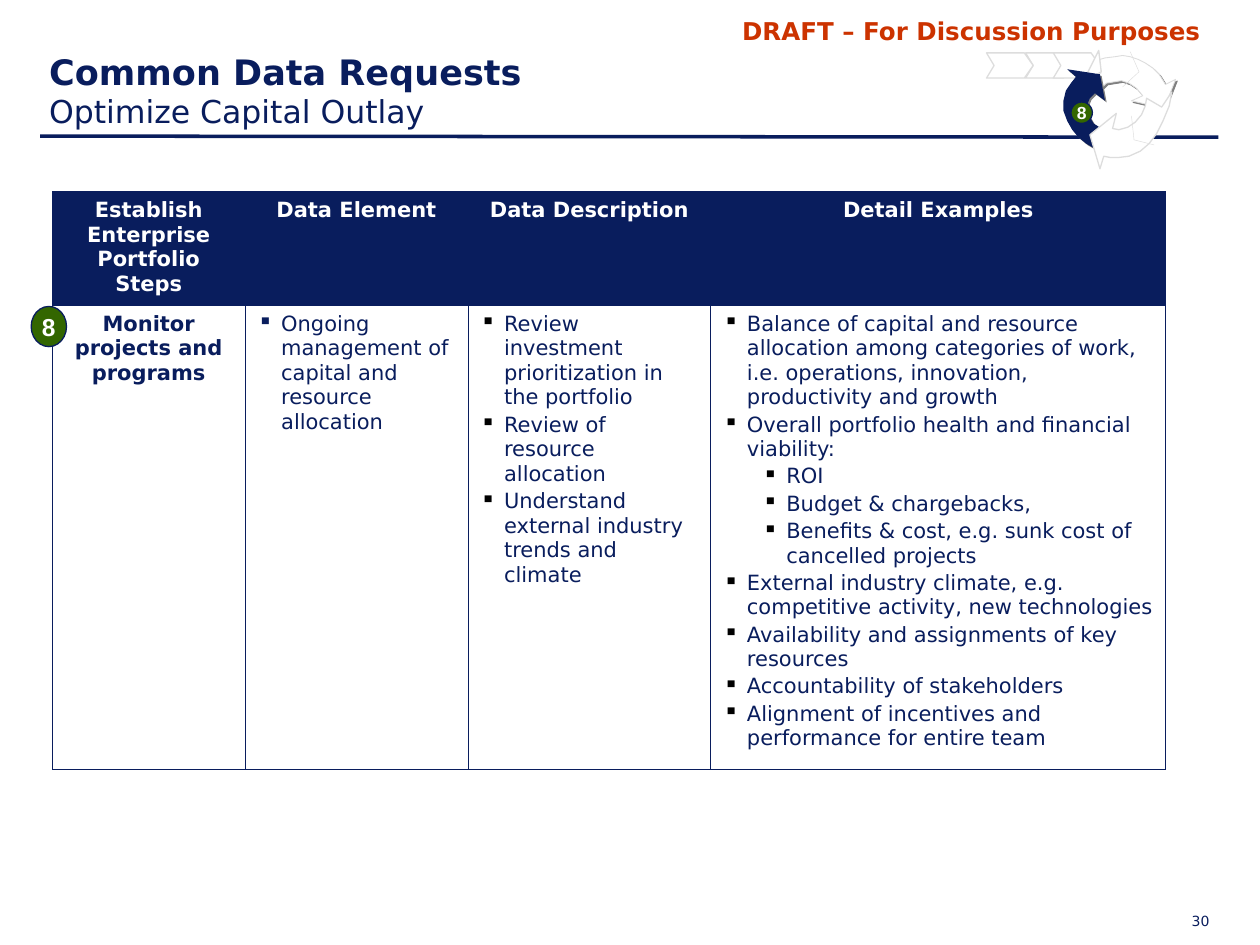
from dataclasses import dataclass

from lxml import etree
from pptx import Presentation
from pptx import util as u
from pptx.dml.color import RGBColor
from pptx.enum import shapes, text
from pptx.oxml import ns


@dataclass(frozen=True)
class Theme:
    navy: str = "091D5D"
    white: str = "FFFFFF"
    black: str = "000000"
    red: str = "CC3300"
    green: str = "336600"
    pale: str = "DDDDDD"
    shade: str = "808080"
    face: str = "DejaVu Sans"
    badge_face: str = "Arial"
    title: int = 20
    subtitle: int = 18
    label: int = 14
    body: int = 12
    small: int = 10
    page: int = 8


THEME = Theme()
CENTER = text.PP_ALIGN.CENTER
ICON_UNIT = 0.72

HEADERS = ["Establish Enterprise Portfolio Steps", "Data Element",
           "Data Description", "Detail Examples"]
ELEMENTS = [(0, "Ongoing management of capital and resource allocation")]
DESCRIPTIONS = [
    (0, "Review investment prioritization in the portfolio"),
    (0, "Review of resource allocation"),
    (0, "Understand external industry trends and climate"),
]
EXAMPLES = [
    (0, "Balance of capital and resource allocation among categories of work, "
        "i.e. operations, innovation, productivity and growth"),
    (0, "Overall portfolio health and financial viability:"),
    (1, "ROI"),
    (1, "Budget & chargebacks,"),
    (1, "Benefits & cost, e.g. sunk cost of cancelled projects"),
    (0, "External industry climate, e.g. competitive activity, new technologies"),
    (0, "Availability and assignments of key resources"),
    (0, "Accountability of stakeholders"),
    (0, "Alignment of incentives and performance for entire team"),
]

TOP_ARROW = [
    (117, 5), (123, 7), (129, 10), (135, 14), (140, 19), (145, 27), (153, 23),
    (144, 46), (118, 40), (127, 36), (122, 30), (116, 26), (110, 24), (104, 25),
    (98, 26), (95, 29), (78, 17), (84, 12), (90, 8), (97, 6), (105, 5), (111, 4)]
LEFT_ARROW = [
    (89, 78), (82, 74), (76, 69), (71, 63), (67, 56), (64, 48), (64, 40),
    (66, 32), (70, 26), (74, 21), (67, 15), (93, 19), (97, 40), (89, 34),
    (85, 38), (83, 43), (83, 49), (85, 53), (88, 58), (94, 62)]
RIGHT_ARROW = [
    (101, 85), (108, 85), (116, 84), (125, 80), (132, 74), (138, 66), (143, 56),
    (148, 44), (150, 33), (142, 45), (130, 38), (129, 44), (126, 51), (121, 57),
    (115, 61), (108, 63), (103, 62), (106, 50), (85, 67), (93, 94), (96, 84)]
CHEVRON = [(30, 0), (0, 0), (6, 10), (0, 20), (30, 20), (37, 10)]
TRIANGLE = [(94, 17), (79, 26), (92, 0)]
TOP_EDGES = [((117, 1), (124, 17)), ((111, 29), (124, 17))]
TRIANGLE_EDGES = [((92, 1), (94, 18)), ((79, 25), (94, 18))]
RIGHT_EDGES = [((136, 75), (120, 71)), ((118, 52), (120, 71))]


def points(*values):
    return [u.Pt(value) for value in values]


def color(value):
    return RGBColor.from_string(value)


def add_xml(parent, tag, **attributes):
    return etree.SubElement(parent, ns.qn(tag), attributes)


def write(paragraph, words, size, tint=THEME.navy, bold=False, face=THEME.face):
    run = paragraph.add_run()
    run.text = words
    for name, value in {"size": u.Pt(size), "bold": bold, "name": face}.items():
        setattr(run.font, name, value)
    run.font.color.rgb = color(tint)


def add_text(slide, box, **frame_format):
    frame = slide.shapes.add_textbox(*points(*box)).text_frame
    for name, value in {"word_wrap": True, **frame_format}.items():
        setattr(frame, name, value)
    return frame.paragraphs[0]


def add_line(slide, start, end, tint, width):
    line = slide.shapes.add_connector(
        shapes.MSO_CONNECTOR.STRAIGHT, *points(*start, *end))
    line.line.color.rgb = color(tint)
    line.line.width = u.Pt(width)
    add_xml(line.element.spPr, "a:effectLst")


def add_badge(slide, box, size):
    badge = slide.shapes.add_shape(shapes.MSO_SHAPE.OVAL, *points(*box))
    badge.shadow.inherit = False
    badge.fill.solid()
    badge.fill.fore_color.rgb = color(THEME.green)
    badge.line.color.rgb = color(THEME.navy)
    badge.line.width = u.Pt(0.75)
    frame = badge.text_frame
    frame.word_wrap = False
    frame.vertical_anchor = text.MSO_ANCHOR.MIDDLE
    frame.paragraphs[0].alignment = CENTER
    write(frame.paragraphs[0], "8", size, THEME.white, True, THEME.badge_face)


def add_outline(slide, box, corners, fill=THEME.white, width=0.75, shadow=False):
    builder = slide.shapes.build_freeform(*corners[0], scale=u.Pt(ICON_UNIT))
    builder.add_line_segments(corners[1:], close=True)
    outline = builder.convert_to_shape(*points(*box[:2]))
    outline.shadow.inherit = False
    outline.fill.solid()
    outline.fill.fore_color.rgb = color(fill)
    if width:
        outline.line.color.rgb = color(THEME.pale)
        outline.line.width = u.Pt(width)
    else:
        outline.line.fill.background()
    if shadow:
        effects = outline.element.spPr.find(ns.qn("a:effectLst"))
        cast = add_xml(effects, "a:outerShdw", blurRad="0", dist=str(u.Pt(1.4)),
                       dir="2700000", algn="ctr", rotWithShape="0")
        add_xml(cast, "a:srgbClr", val=THEME.shade)


def draw_cycle_icon(slide, box):
    left, top = box[:2]

    def add_edges(edges):
        for edge in edges:
            ends = [(left + x * ICON_UNIT, top + y * ICON_UNIT) for x, y in edge]
            add_line(slide, *ends, THEME.pale, 0.25)

    add_outline(slide, box, TOP_ARROW, width=0.5, shadow=True)
    for offset in (34, 3, 56):
        add_outline(slide, box, [(x + offset, y + 2) for x, y in CHEVRON])
    add_edges(TOP_EDGES)
    add_outline(slide, box, TRIANGLE)
    add_edges(TRIANGLE_EDGES)
    add_outline(slide, box, LEFT_ARROW, THEME.navy, width=0, shadow=True)
    add_outline(slide, box, RIGHT_ARROW)
    add_edges(RIGHT_EDGES)
    add_badge(slide, (left + 50.4, top + 29.5, 12.24, 12.24), THEME.small)


def draw_header(slide, box):
    left, top, width, height = box
    add_line(slide, (left + 2, top + 59.8), (left + 675.2, top + 60.4), THEME.navy, 2)
    draft = add_text(slide, (left + 387.2, top - 12.2, 293.8, 24.5))
    draft.alignment = CENTER
    write(draft, "DRAFT – For Discussion Purposes", THEME.label, THEME.red, True)
    title = add_text(slide, box, vertical_anchor=text.MSO_ANCHOR.BOTTOM)
    write(title, "Common Data Requests", THEME.title, bold=True)
    title.add_line_break()
    write(title, "Optimize Capital Outlay", THEME.subtitle)


def style_cell(cell, fill=None):
    if fill:
        cell.fill.solid()
        cell.fill.fore_color.rgb = color(fill)
    else:
        cell.fill.background()
    properties = cell._tc.get_or_add_tcPr()
    for index, side in enumerate(("a:lnL", "a:lnR", "a:lnT", "a:lnB")):
        border = add_xml(properties, side, w=str(u.Pt(0.45)))
        add_xml(add_xml(border, "a:solidFill"), "a:srgbClr", val=THEME.navy)
        properties.insert(index, border)


def fill_bullets(cell, items, tint=THEME.black, after=1.5):
    for index, (level, words) in enumerate(items):
        frame = cell.text_frame
        paragraph = frame.add_paragraph() if index else frame.paragraphs[0]
        properties = paragraph._p.get_or_add_pPr()
        properties.set("marL", str(u.Pt(36 if level else 13.5)))
        properties.set("indent", str(u.Pt(-13.5)))
        add_xml(add_xml(properties, "a:buClr"), "a:srgbClr", val=tint)
        add_xml(properties, "a:buChar", char="▪")
        paragraph.level = level
        paragraph.space_after = u.Pt(after)
        write(paragraph, words, THEME.body)


def draw_request_table(slide, box):
    table = slide.shapes.add_table(2, len(HEADERS), *points(*box)).table
    table.first_row = table.horz_banding = False
    for column, width in zip(table.columns, (110, 127.4, 138.8, 260)):
        column.width = u.Pt(width)
    for row, height in zip(table.rows, (64.6, box[3] - 64.6)):
        row.height = u.Pt(height)
    for cell, words in zip(table.rows[0].cells, HEADERS):
        style_cell(cell, THEME.navy)
        cell.text_frame.paragraphs[0].alignment = CENTER
        write(cell.text_frame.paragraphs[0], words, THEME.body, THEME.white, True)
    step, element, description, example = table.rows[1].cells
    for cell in (step, element, description, example):
        style_cell(cell)
    step.text_frame.paragraphs[0].alignment = CENTER
    write(step.text_frame.paragraphs[0], "Monitor projects and programs",
          THEME.body, bold=True)
    fill_bullets(element, ELEMENTS, THEME.navy, 6)
    fill_bullets(description, DESCRIPTIONS)
    fill_bullets(example, EXAMPLES)
    add_badge(slide, (box[0] - 12.2, box[1] + 65.5, 20.2, 23), THEME.label)


def draw_page_number(slide, box):
    margins = dict.fromkeys(
        ("margin_left", "margin_top", "margin_right", "margin_bottom"), 0)
    paragraph = add_text(slide, box, **margins)
    paragraph.alignment = text.PP_ALIGN.RIGHT
    write(paragraph, "30", THEME.page)


def main():
    presentation = Presentation()
    presentation.slide_width, presentation.slide_height = points(720, 540)
    slide = presentation.slides.add_slide(presentation.slide_layouts[6])
    draw_page_number(slide, (619.2, 521.3, 72, 10.8))
    draw_header(slide, (21, 18, 679, 59.8))
    draw_request_table(slide, (30, 109.6, 636.2, 329.6))
    draw_cycle_icon(slide, (561.6, 28.8, 110, 68))
    presentation.save("out.pptx")


if __name__ == "__main__":
    main()
